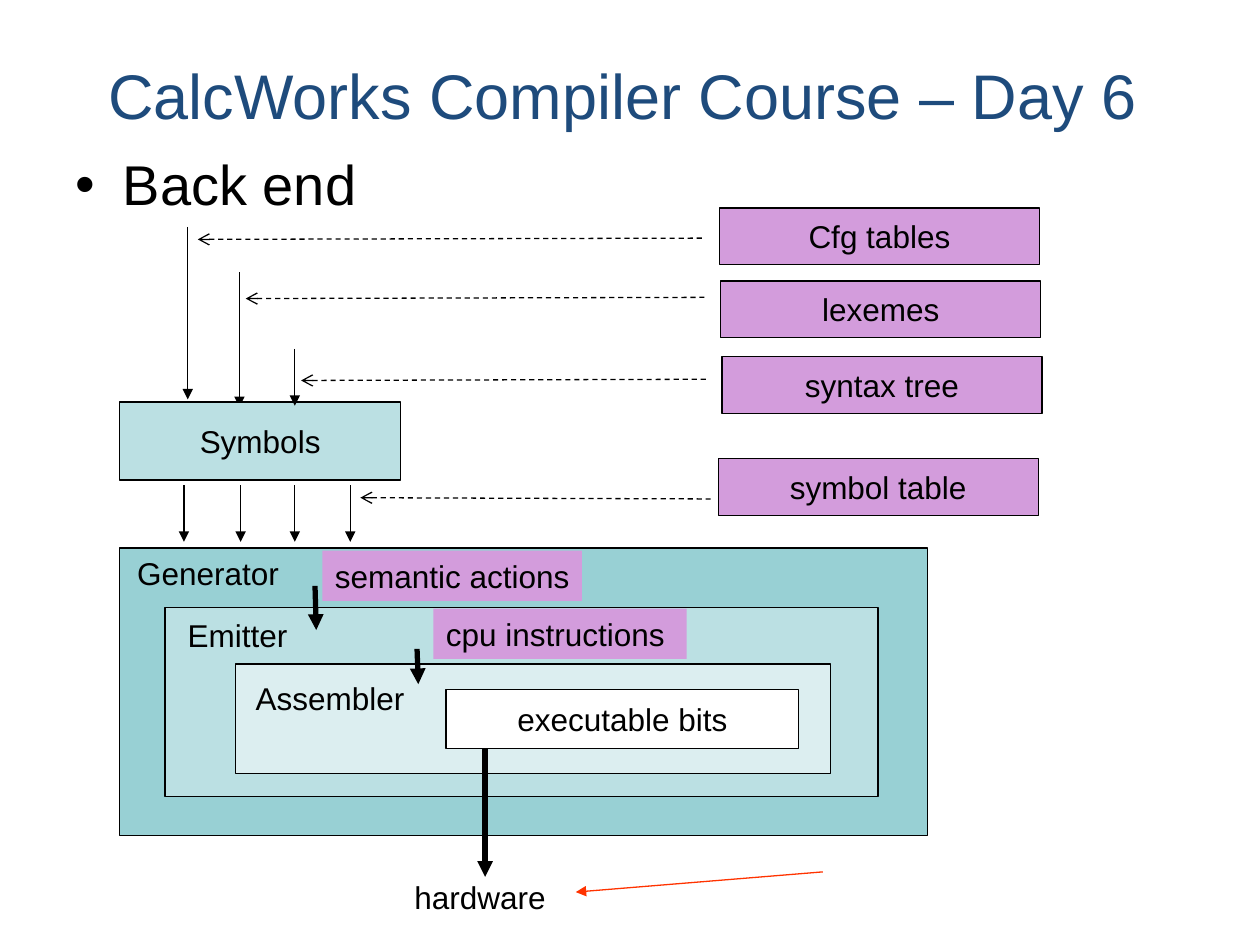
from dataclasses import dataclass
from lxml.etree import SubElement
from pptx import Presentation
from pptx.dml.color import RGBColor
from pptx.enum.dml import MSO_LINE
from pptx.enum.shapes import MSO_CONNECTOR, MSO_SHAPE
from pptx.enum.text import MSO_ANCHOR, MSO_AUTO_SIZE, PP_ALIGN
from pptx.oxml.ns import qn
from pptx.util import Inches, Pt


@dataclass(frozen=True)
class Theme:
    font: str = "Arial"
    title: int = 36
    body: int = 32
    label: int = 18
    thin: float = 0.75
    thick: float = 3
    black: str = "000000"
    white: str = "FFFFFF"
    navy: str = "1E4B7C"
    red: str = "FF3300"
    pink: str = "D39CDC"
    deep: str = "98D0D4"
    teal: str = "BBE0E3"
    pale: str = "DCEEF0"


theme = Theme()
deck = Presentation()
deck.slide_width, deck.slide_height = Inches(10), Inches(7.5)
slide = deck.slides.add_slide(deck.slide_layouts[1])
shapes = slide.shapes


def write(shape, text, size=theme.label, color=theme.black, align=PP_ALIGN.LEFT):
    frame = shape.text_frame
    frame.text = text
    frame.word_wrap = True
    frame.auto_size = MSO_AUTO_SIZE.NONE
    left = align == PP_ALIGN.LEFT
    frame.vertical_anchor = MSO_ANCHOR.TOP if left else MSO_ANCHOR.MIDDLE
    if left:
        frame.margin_right = 0
    line = frame.paragraphs[0]
    line.alignment = align
    line.font.name = theme.font
    line.font.size = Pt(size)
    line.font.color.rgb = RGBColor.from_string(color)


def arrow(ends, end="tailEnd", kind="triangle", width=theme.thin, color=theme.black):
    link = shapes.add_connector(MSO_CONNECTOR.STRAIGHT, *map(Inches, ends))
    link.line.width = Pt(width)
    link.line.color.rgb = RGBColor.from_string(color)
    if kind == "arrow":
        link.line.dash_style = MSO_LINE.DASH
    SubElement(link.line._get_or_add_ln(), qn("a:" + end), type=kind)
    SubElement(link._element.spPr, qn("a:effectLst"))


heads = [
    (shapes.title, (0.76, 0.4, 8.48, 0.7), "CalcWorks Compiler Course – Day 6", theme.title, theme.navy),
    (slide.placeholders[1], (0.5, 1.14, 9.15, 6.36), "Back end", theme.body, theme.black),
]
for holder, place, text, size, color in heads:
    holder.left, holder.top, holder.width, holder.height = map(Inches, place)
    write(holder, text, size, color)
slide.placeholders[1].text_frame.paragraphs[0].space_before = Pt(8)

for x, top, end in [(1.49, 1.8, 3.17), (1.9, 2.16, 3.23)]:
    arrow((x, top, x, end))

boxes = [
    ("Cfg tables", (5.71, 1.65, 2.54, 0.45), theme.pink),
    ("lexemes", (5.72, 2.23, 2.54, 0.45), theme.pink),
    ("syntax tree", (5.73, 2.83, 2.54, 0.45), theme.pink),
    ("symbol table", (5.7, 3.64, 2.54, 0.45), theme.pink),
    ("Symbols", (0.95, 3.19, 2.23, 0.62), theme.teal),
    ("", (0.95, 4.35, 6.41, 2.28), theme.deep),
    ("", (1.31, 4.82, 5.66, 1.5), theme.teal),
    ("", (1.87, 5.27, 4.72, 0.87), theme.pale),
    ("executable bits", (3.54, 5.47, 2.8, 0.47), theme.white),
]
for text, place, fill in boxes:
    box = shapes.add_shape(MSO_SHAPE.RECTANGLE, *map(Inches, place))
    box.shadow.inherit = False
    box.fill.solid()
    box.fill.fore_color.rgb = RGBColor.from_string(fill)
    box.line.color.rgb = RGBColor.from_string(theme.black)
    box.line.width = Pt(theme.thin)
    if text:
        write(box, text, align=PP_ALIGN.CENTER)

labels = [
    ("Generator", (0.99, 4.35, 1.32), None),
    ("Emitter", (1.39, 4.84, 0.99), None),
    ("Assembler", (1.93, 5.34, 1.38), None),
    ("semantic actions", (2.56, 4.37, 2.06), theme.pink),
    ("cpu instructions", (3.44, 4.83, 2.01), theme.pink),
    ("hardware", (3.19, 6.92, 1.38), None),
]
for text, place, fill in labels:
    label = shapes.add_textbox(*map(Inches, place), Inches(0.4))
    write(label, text)
    if fill:
        label.fill.solid()
        label.fill.fore_color.rgb = RGBColor.from_string(fill)

arrow((2.34, 2.77, 2.34, 3.22))
for x in (1.46, 1.91, 2.34, 2.78):
    arrow((x, 3.85, x, 4.3))

for ends in [
    (1.57, 1.9, 5.59, 1.89),
    (1.95, 2.37, 5.59, 2.36),
    (2.39, 3.02, 5.62, 3.01),
    (2.86, 3.95, 5.64, 3.96),
]:
    arrow(ends, "headEnd", "arrow")

for ends in [(2.5, 4.65, 2.51, 5), (3.31, 5.15, 3.32, 5.43), (3.85, 5.94, 3.85, 6.96)]:
    arrow(ends, width=theme.thick)
arrow((6.53, 6.92, 4.57, 7.08), color=theme.red)

deck.save("out.pptx")
